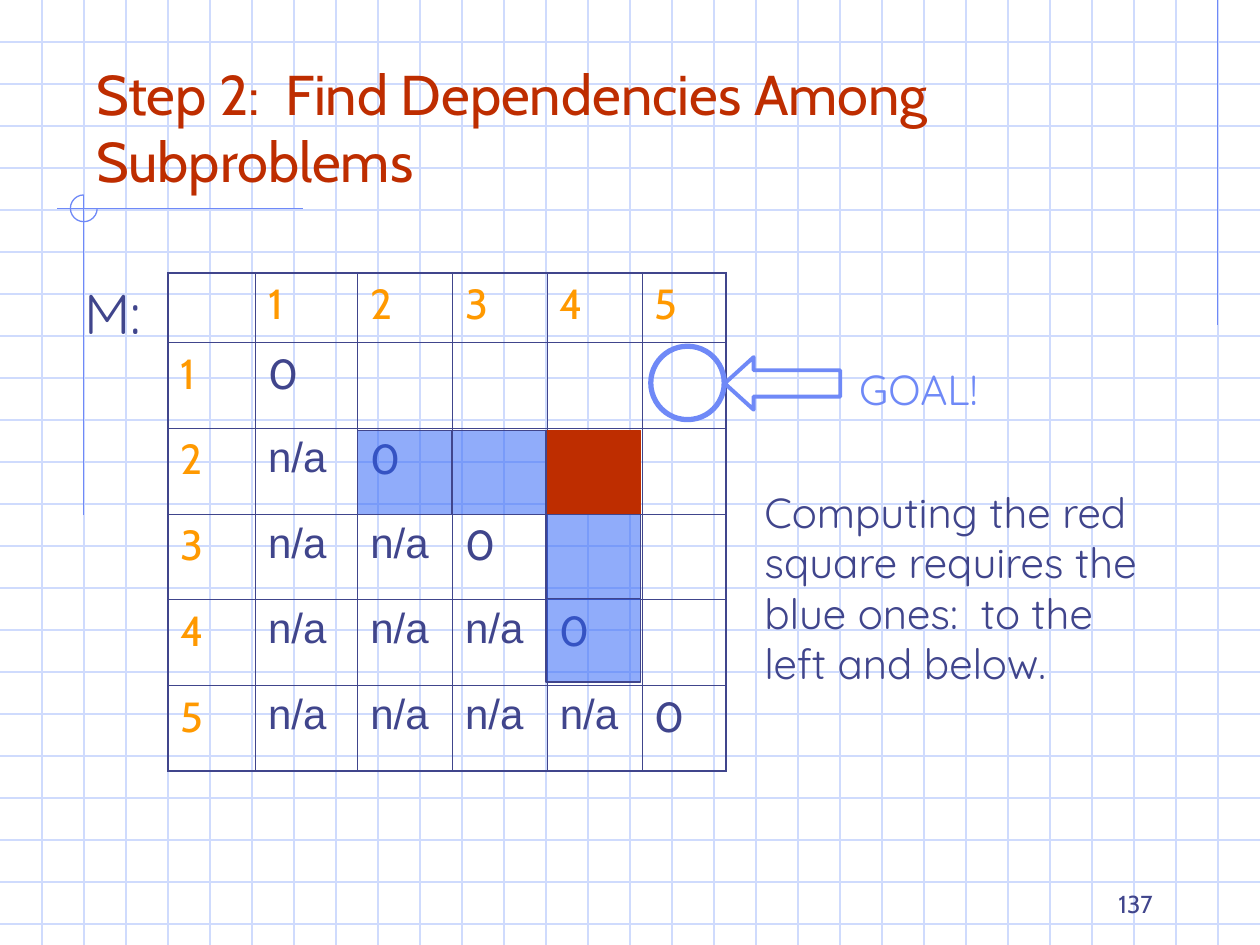
from dataclasses import dataclass

from lxml.etree import SubElement
from pptx import Presentation
from pptx.dml.color import RGBColor
from pptx.enum.shapes import MSO_CONNECTOR as Connector, MSO_SHAPE as Shape
from pptx.enum.text import MSO_ANCHOR as Anchor, MSO_AUTO_SIZE as AutoSize, PP_ALIGN as Align
from pptx.oxml import parse_xml
from pptx.oxml.ns import nsdecls, qn
from pptx.util import Cm, Pt


@dataclass(frozen=True)
class Theme:
    grid: str = "CFDBFD"
    accent: str = "6F89F7"
    ink: str = "40458C"
    red: str = "BE2D00"
    orange: str = "FF9900"
    blue: str = "2C61F6"
    heading_font: str = "Cabin"
    body_font: str = "Quicksand"
    plain_font: str = "Arial"
    title_size: int = 32
    body_size: int = 24
    number_size: int = 14
    hairline: float = 0.75
    inner_border: float = 0.45
    outer_border: float = 1.08


THEME = Theme()
WIDTH, HEIGHT = 25.4, 19.05
GRID_STEP = WIDTH / 30

TABLE_LEFT, TABLE_TOP = 3.39, 5.5
COLUMN_WIDTHS = [1.76, 2.06, 1.91, 1.91, 1.91, 1.69]
ROW_HEIGHTS = [1.4] + [1.73] * 5

RED_LEFT, RED_TOP = 11.01, 8.68
MARK_WIDTH, MARK_HEIGHT = 1.9, 1.69
DEPENDENCIES = [(-1, 0), (-2, 0), (0, 1), (0, 2)]


def subproblem_rows(count):
    """Header row, then n/a below the diagonal, 0 on it and blanks above."""
    numbers = range(1, count + 1)
    rows = [[""] + [str(number) for number in numbers]]
    for row in numbers:
        values = ["n/a" if col < row else "0" if col == row else "" for col in numbers]
        rows.append([str(row)] + values)
    return rows


class SlideBuilder:
    def __init__(self, page, theme):
        self.page = page
        self.theme = theme

    def style_text(self, para, font_name, size, color):
        for span in para.runs:
            span.font.name = font_name
            span.font.size = Pt(size)
            span.font.color.rgb = RGBColor.from_string(color)

    def line(self, x1, y1, x2, y2, color):
        connector = self.page.shapes.add_connector(
            Connector.STRAIGHT, Cm(x1), Cm(y1), Cm(x2), Cm(y2))
        connector.line.color.rgb = RGBColor.from_string(color)
        connector.line.width = Pt(self.theme.hairline)
        SubElement(connector._element.spPr, qn("a:effectLst"))

    def shape(self, kind, left, top, width, height, line, weight,
              fill=None, opacity=None, adjustments=()):
        shape = self.page.shapes.add_shape(kind, Cm(left), Cm(top), Cm(width), Cm(height))
        shape.shadow.inherit = False
        for index, value in enumerate(adjustments):
            shape.adjustments[index] = value
        shape.line.color.rgb = RGBColor.from_string(line)
        shape.line.width = Pt(weight)
        if fill is None:
            shape.fill.background()
            return
        shape.fill.solid()
        shape.fill.fore_color.rgb = RGBColor.from_string(fill)
        if opacity is not None:
            color = shape._element.spPr.find(qn("a:solidFill")).find(qn("a:srgbClr"))
            SubElement(color, qn("a:alpha"), val=str(opacity * 1000))

    def text(self, content, left, top, width, height, font_name, size, color,
             wrap=False, anchor=Anchor.TOP, align=Align.LEFT):
        box = self.page.shapes.add_textbox(Cm(left), Cm(top), Cm(width), Cm(height))
        frame = box.text_frame
        frame.text = content
        frame.word_wrap = wrap
        frame.auto_size = AutoSize.NONE if wrap else AutoSize.SHAPE_TO_FIT_TEXT
        frame.vertical_anchor = anchor
        for para in frame.paragraphs:
            para.alignment = align
            self.style_text(para, font_name, size, color)

    def cell_borders(self, cell, outer_sides):
        properties = cell._tc.get_or_add_tcPr()
        for index, side in enumerate("LRTB"):
            weight = self.theme.outer_border if side in outer_sides else self.theme.inner_border
            properties.insert(index, parse_xml(
                f'<a:ln{side} {nsdecls("a")} w="{Pt(weight)}"><a:solidFill>'
                f'<a:srgbClr val="{self.theme.ink}"/></a:solidFill></a:ln{side}>'))

    def table(self, rows, left, top, widths, heights):
        theme = self.theme
        table = self.page.shapes.add_table(
            len(rows), len(widths), Cm(left), Cm(top),
            Cm(sum(widths)), Cm(sum(heights))).table
        table.first_row = table.horz_banding = False
        for column, width in zip(table.columns, widths):
            column.width = Cm(width)
        for table_row, height in zip(table.rows, heights):
            table_row.height = Cm(height)
        last_row, last_col = len(rows) - 1, len(widths) - 1
        for r, row in enumerate(rows):
            for c, value in enumerate(row):
                cell = table.cell(r, c)
                cell.fill.background()
                edges = {"L": c == 0, "R": c == last_col, "T": r == 0, "B": r == last_row}
                self.cell_borders(cell, [side for side, outer in edges.items() if outer])
                para = cell.text_frame.paragraphs[0]
                para.text = value
                font_name = theme.plain_font if value == "n/a" else theme.heading_font
                color = theme.orange if r == 0 or c == 0 else theme.ink
                self.style_text(para, font_name, theme.body_size, color)

    def backdrop(self):
        """Squared paper with the accent rules and the open ring by the title."""
        theme = self.theme
        for step in range(1, 23):
            self.line(0, step * GRID_STEP, WIDTH, step * GRID_STEP, theme.grid)
        for step in range(1, 30):
            self.line(step * GRID_STEP, 0, step * GRID_STEP, HEIGHT, theme.grid)
        self.line(24.55, 0, 24.55, 6.55, theme.accent)
        self.line(6.1, 4.2, 1.15, 4.2, theme.accent)
        self.line(1.69, 3.93, 1.69, 10.39, theme.accent)
        self.shape(Shape.ARC, 1.42, 3.93, 0.54, 0.54, theme.accent, theme.hairline,
                   adjustments=(0, 162))


def main():
    deck = Presentation()
    deck.slide_width, deck.slide_height = Cm(WIDTH), Cm(HEIGHT)
    page = deck.slides.add_slide(deck.slide_layouts[6])
    theme = THEME
    builder = SlideBuilder(page, theme)

    builder.backdrop()
    builder.text("Step 2:  Find Dependencies Among Subproblems", 1.69, 0.85, 21.59, 3.18,
                 theme.heading_font, theme.title_size, theme.red,
                 wrap=True, anchor=Anchor.BOTTOM)
    builder.table(subproblem_rows(5), TABLE_LEFT, TABLE_TOP, COLUMN_WIDTHS, ROW_HEIGHTS)

    builder.shape(Shape.OVAL, 13.12, 6.98, 1.48, 1.48, theme.accent, 3)
    builder.shape(Shape.LEFT_ARROW, 14.61, 7.2, 2.33, 1.06, theme.accent, 2.25,
                  adjustments=(0.5, 0.55))
    builder.text("GOAL!", 17.07, 7.2, 3.0, 1.27,
                 theme.body_font, theme.body_size, theme.accent)
    builder.text("M:", 1.45, 5.5, 1.83, 1.62,
                 theme.body_font, theme.title_size, theme.ink)

    builder.shape(Shape.RECTANGLE, RED_LEFT, RED_TOP, MARK_WIDTH, MARK_HEIGHT,
                  theme.red, theme.hairline, fill=theme.red)
    for across, down in DEPENDENCIES:
        builder.shape(Shape.RECTANGLE, RED_LEFT + across * MARK_WIDTH,
                      RED_TOP + down * MARK_HEIGHT, MARK_WIDTH, MARK_HEIGHT,
                      theme.ink, theme.hairline, fill=theme.blue, opacity=52)

    builder.text("Computing the red\nsquare requires the\nblue ones:  to the\nleft and below.",
                 15.16, 9.68, 8.33, 4.32, theme.body_font, theme.body_size, theme.ink)
    builder.text("137", 18.2, 17.36, 5.29, 1.27, theme.heading_font, theme.number_size,
                 theme.ink, wrap=True, anchor=Anchor.BOTTOM, align=Align.RIGHT)
    deck.save("out.pptx")


if __name__ == "__main__":
    main()
